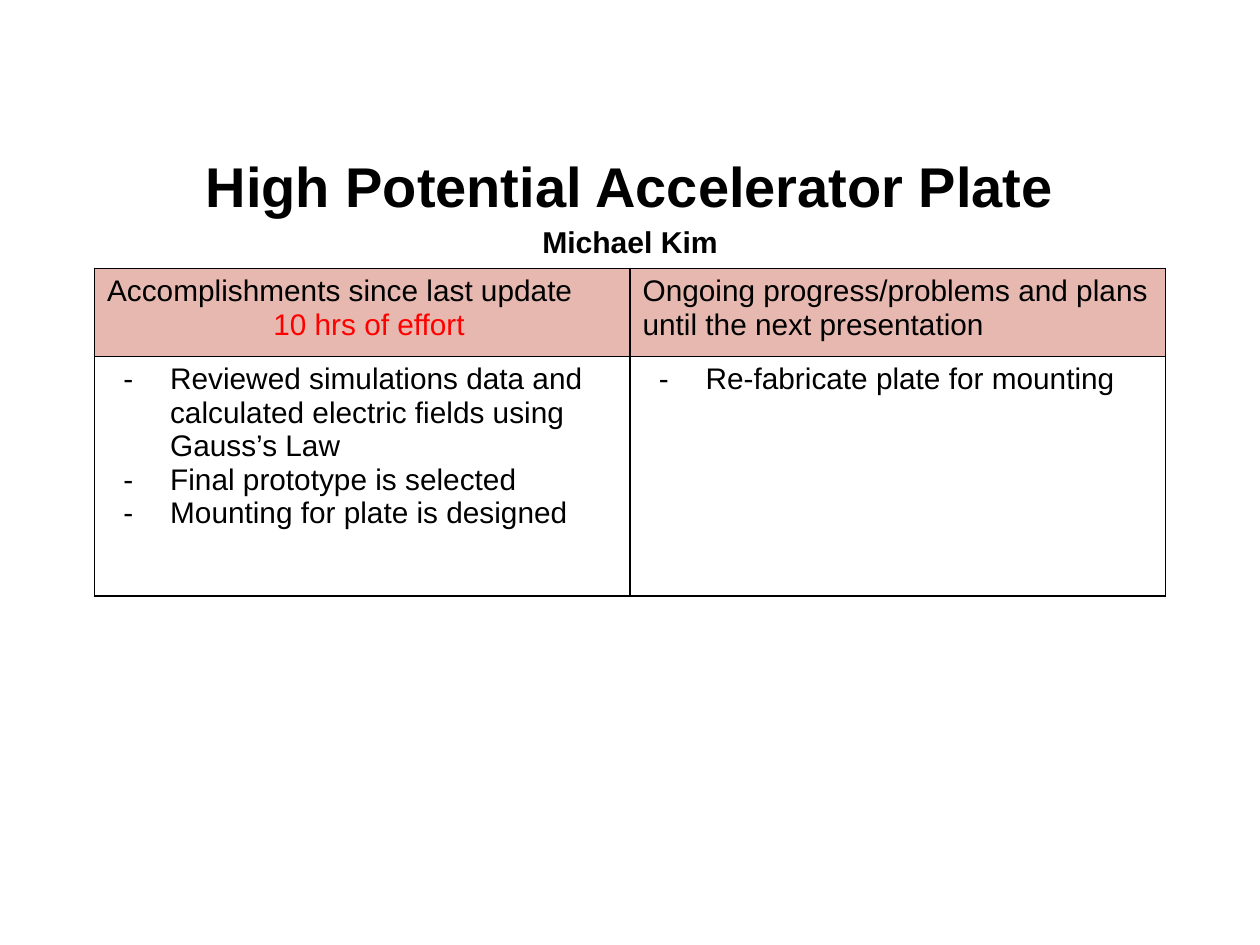
from dataclasses import dataclass

from lxml import etree
from pptx import Presentation
from pptx import util as u
from pptx.dml.color import RGBColor
from pptx.enum import text
from pptx.oxml import ns


@dataclass(frozen=True)
class Theme:
    font: str = "Arial"
    title_size: float = 32
    name_size: float = 17.2
    body_size: float = 17
    ink: str = "000000"
    effort: str = "FF0000"
    header: str = "E6B8AF"


THEME = Theme()

HEADERS = [
    [("Accomplishments since last update", THEME.ink, 0),
     ("10 hrs of effort", THEME.effort, 95)],
    [("Ongoing progress/problems and plans until the next presentation", THEME.ink, 0)],
]
BULLETS = [
    ["Reviewed simulations data and calculated electric fields using Gauss’s Law",
     "Final prototype is selected",
     "Mounting for plate is designed"],
    ["Re-fabricate plate for mounting"],
]


def add_xml(parent, tag, **attrs):
    return etree.SubElement(parent, ns.qn(tag), {k: str(v) for k, v in attrs.items()})


def style(p, size, color=THEME.ink, bold=False):
    p.font.name = THEME.font
    p.font.size = u.Pt(size)
    p.font.bold = bold
    p.font.color.rgb = RGBColor.from_string(color)


def next_paragraph(tf, i):
    return tf.add_paragraph() if i else tf.paragraphs[0]


def indent(p, left, first=0):
    pPr = p._p.get_or_add_pPr()
    pPr.set("marL", str(u.Pt(left)))
    pPr.set("indent", str(u.Pt(first)))
    return pPr


def add_title(slide, lines):
    sp = slide.shapes.add_textbox(u.Pt(36), u.Pt(82.8), u.Pt(648), u.Pt(63.36))
    tf = sp.text_frame
    tf.word_wrap = True
    tf.vertical_anchor = text.MSO_ANCHOR.MIDDLE
    for i, (line, size) in enumerate(lines):
        p = next_paragraph(tf, i)
        p.text = line
        p.alignment = text.PP_ALIGN.CENTER
        p.line_spacing = 1.15
        style(p, size, bold=True)


def add_borders(cell):
    tcPr = cell._tc.get_or_add_tcPr()
    for side in ("a:lnL", "a:lnR", "a:lnT", "a:lnB"):
        ln = add_xml(tcPr, side, w=u.Pt(1))
        add_xml(add_xml(ln, "a:solidFill"), "a:srgbClr", val=THEME.ink)


def fill_header(cell, lines):
    cell.fill.solid()
    cell.fill.fore_color.rgb = RGBColor.from_string(THEME.header)
    for i, (line, color, left) in enumerate(lines):
        p = next_paragraph(cell.text_frame, i)
        p.text = line
        indent(p, left)
        style(p, THEME.body_size, color)


def fill_bullets(cell, items):
    cell.fill.background()
    for i, item in enumerate(items):
        p = next_paragraph(cell.text_frame, i)
        p.text = item
        pPr = indent(p, 36, -26.64)
        add_xml(add_xml(pPr, "a:buClr"), "a:srgbClr", val=THEME.ink)
        add_xml(pPr, "a:buFont", typeface=THEME.font)
        add_xml(pPr, "a:buChar", char="-")
        style(p, THEME.body_size)


def add_update_table(slide):
    col_width, row_heights = 306, (50.4, 136.8)
    table = slide.shapes.add_table(2, 2, u.Pt(54), u.Pt(153.36),
                                   u.Pt(2 * col_width), u.Pt(sum(row_heights))).table
    for column in table.columns:
        column.width = u.Pt(col_width)
    for row, height in zip(table.rows, row_heights):
        row.height = u.Pt(height)
    for cell in table.iter_cells():
        cell.margin_left = cell.margin_right = u.Pt(7.2)
        cell.margin_top = cell.margin_bottom = u.Pt(3.6)
        add_borders(cell)
    for c, (header, bullets) in enumerate(zip(HEADERS, BULLETS)):
        fill_header(table.cell(0, c), header)
        fill_bullets(table.cell(1, c), bullets)


def main():
    prs = Presentation()
    prs.slide_width, prs.slide_height = u.Pt(720), u.Pt(540)
    slide = prs.slides.add_slide(prs.slide_layouts[6])

    # Progress table
    add_update_table(slide)

    # Project title and presenter
    add_title(slide, [("High Potential Accelerator Plate", THEME.title_size),
                      ("Michael Kim", THEME.name_size)])

    prs.save("out.pptx")


if __name__ == "__main__":
    main()
